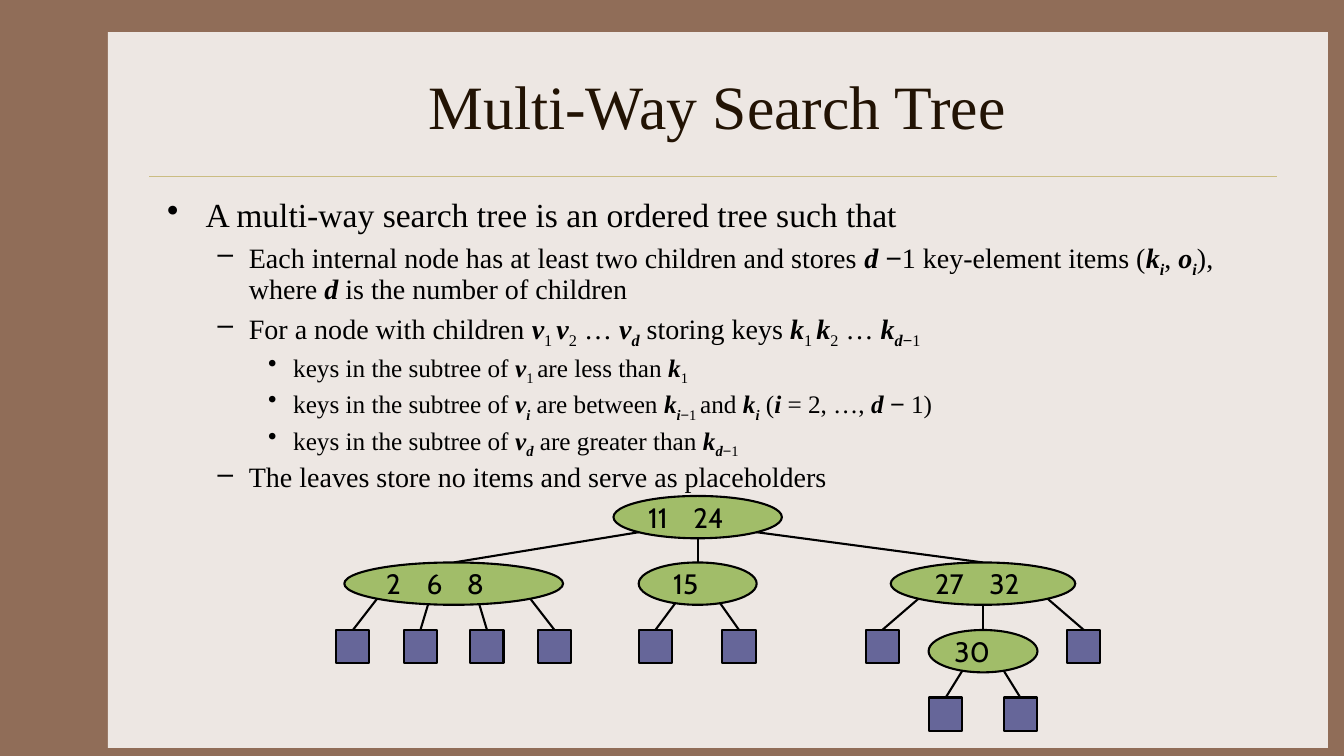
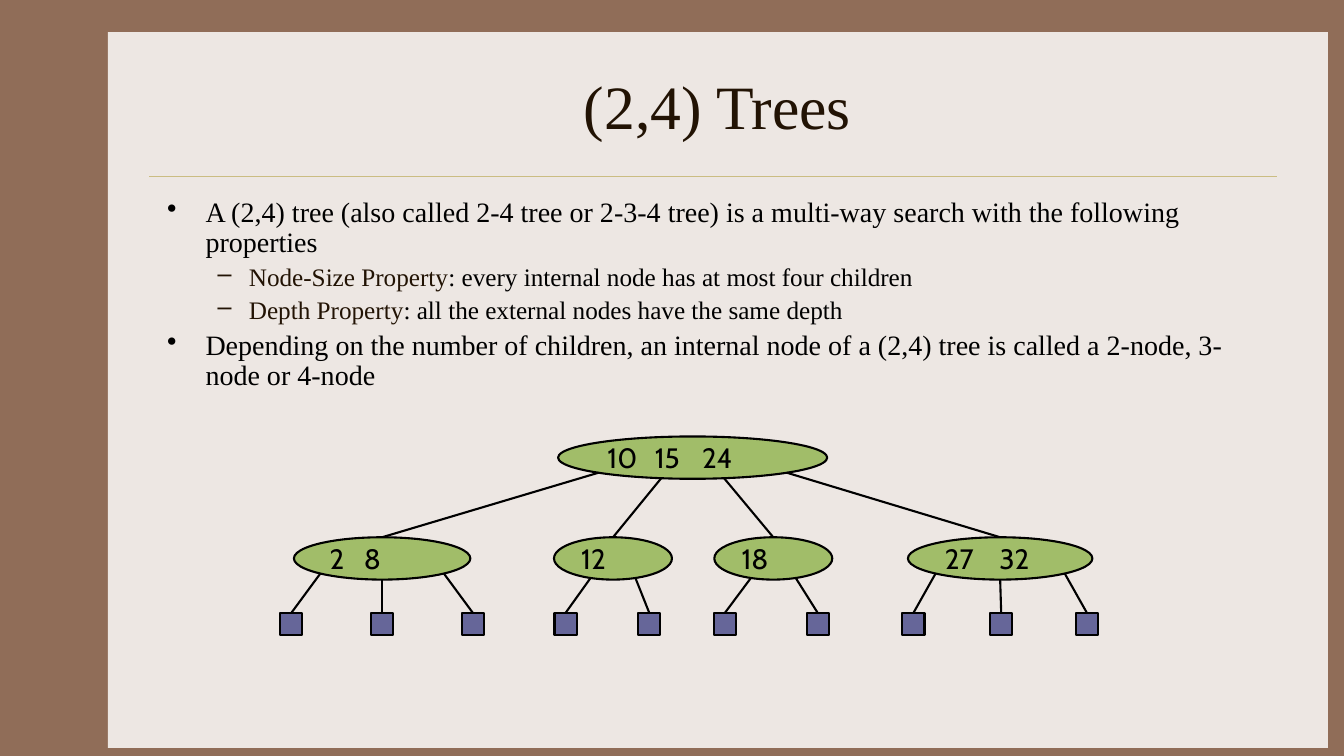
from dataclasses import dataclass
from itertools import groupby
from math import sqrt

from lxml import etree
from pptx import Presentation, util as u
from pptx.dml.color import RGBColor
from pptx.enum import shapes as kinds, text as t
from pptx.oxml.ns import qn

BACK, PAPER, RULE = "906D58", "EDE7E3", "CBBD83"
INK, DARK, GREEN, BLUE = "000000", "221304", "A1BD69", "666699"
SERIF, SANS, KEYS = "Times New Roman", "Arial", "Cabin"
NODE_H = 0.42
REACH = {2: 0.19, 3: 0.35, 4: 0.35}  # outermost branch, as share of node width
# level: left margin, hanging indent, bullet
LEVELS = [(0.38, 0.38, "•"), (0.81, 0.31, "–"), (1.25, 0.25, "•")]


@dataclass
class Node:
    keys: str
    mid: float
    width: float
    kids: list  # a number is the centre of a leaf
    gap: float = 0.45
    lead: float = 0.1


def color(code):
    return RGBColor.from_string(code)


def font(run, size, face=SERIF, code=INK):
    run.font.size = u.Pt(size)
    run.font.name = face
    run.font.color.rgb = color(code)


def shape(slide, kind, box, fill, edge=None):
    item = slide.shapes.add_shape(kind, *map(u.Inches, box))
    item.shadow.inherit = False
    item.fill.solid()
    item.fill.fore_color.rgb = color(fill)
    if edge:
        item.line.color.rgb = color(edge)
        item.line.width = u.Pt(1.5)
    else:
        item.line.fill.background()
    return item


def line(slide, start, end, code=INK, width=1.5):
    item = slide.shapes.add_connector(
        kinds.MSO_CONNECTOR.STRAIGHT, *map(u.Inches, (*start, *end)))
    item.line.color.rgb = color(code)
    item.line.width = u.Pt(width)
    etree.SubElement(item._element.spPr, qn("a:effectLst"))
    return item


# Shared frame: lives on the layout
def frame(layout, slide):
    for item in list(layout.placeholders):
        if item.placeholder_format.idx:
            item._element.getparent().remove(item._element)
    paper = shape(slide, kinds.MSO_SHAPE.RECTANGLE, (1.07, 0.32, 12.1, 7.1), PAPER)
    rule = line(slide, (1.48, 1.75), (12.67, 1.75), RULE, 0.25)
    for item in (paper, rule):
        layout.shapes._spTree.append(item._element)


def title(slide, words):
    item = slide.shapes.title
    item.left, item.top, item.width, item.height = map(
        u.Inches, (1.56, 0.42, 11.11, 1.25))
    item.text_frame.text = words
    item.text_frame.vertical_anchor = t.MSO_ANCHOR.MIDDLE
    para = item.text_frame.paragraphs[0]
    para.alignment = t.PP_ALIGN.CENTER
    font(para.runs[0], 44, SERIF, DARK)


# Marks: *bold italic*, ~subscript~, ^dark^
def styled(words):
    state = dict.fromkeys("*~^", False)
    for char in words:
        if char in state:
            state[char] = not state[char]
        else:
            yield char, (*state.values(), char == "−")


def bullet(para, level, size, words, first):
    left, hang, sign = LEVELS[level]
    para.level = level
    para.line_spacing = 0.9
    if not first:
        para.space_before = u.Pt(round(size * 0.23, 1))
    props = para._p.get_or_add_pPr()
    props.set("marL", str(u.Inches(left)))
    props.set("indent", str(-u.Inches(hang)))
    etree.SubElement(props, qn("a:buChar")).set("char", sign)
    for style, chars in groupby(styled(words), key=lambda pair: pair[1]):
        strong, sub, dark, minus = style
        run = para.add_run()
        run.text = "".join(char for char, _ in chars)
        font(run, size, SANS if minus else SERIF, DARK if dark else INK)
        run.font.bold = run.font.italic = strong
        if sub:
            run.font._element.set("baseline", "-25000")


def body(slide, items):
    box = slide.shapes.add_textbox(*map(u.Inches, (1.56, 1.92, 11.11, 4.5)))
    frame = box.text_frame
    frame.word_wrap = True
    for i, (level, size, words) in enumerate(items):
        para = frame.add_paragraph() if i else frame.paragraphs[0]
        bullet(para, level, size, words, i == 0)


# Tree parts
def oval(slide, node, top):
    item = shape(slide, kinds.MSO_SHAPE.OVAL,
                 (node.mid - node.width / 2, top, node.width, NODE_H), GREEN, INK)
    frame = item.text_frame
    frame.word_wrap = True
    frame.vertical_anchor = t.MSO_ANCHOR.MIDDLE
    frame.margin_left = u.Inches(node.lead)
    frame.margin_right = frame.margin_top = frame.margin_bottom = 0
    keys = node.keys.split()
    para = frame.paragraphs[0]
    para.alignment = t.PP_ALIGN.LEFT
    if len(keys) > 1:
        tabs = etree.SubElement(para._p.get_or_add_pPr(), qn("a:tabLst"))
        for i in range(1, len(keys)):
            tab = etree.SubElement(tabs, qn("a:tab"))
            tab.set("pos", str(u.Inches(node.gap * i)))
            tab.set("algn", "l")
    run = para.add_run()
    run.text = "\t".join(keys)
    font(run, 20, KEYS)


def tree(slide, node, rows, leaf):
    top, below = rows[:2]
    oval(slide, node, top)
    count = len(node.kids)
    reach = REACH[count]
    for i, kid in enumerate(node.kids):
        share = reach * (2 * i / (count - 1) - 1)
        rim = top + NODE_H / 2 * (1 + sqrt(1 - 4 * share ** 2))
        inner = isinstance(kid, Node)
        mid = kid.mid if inner else kid
        line(slide, (node.mid + share * node.width, rim), (mid, below))
        if inner:
            tree(slide, kid, rows[1:], leaf)
        else:
            shape(slide, kinds.MSO_SHAPE.RECTANGLE,
                  (mid - leaf / 2, below, leaf, leaf), BLUE, INK)


MULTI = [
    (0, 24, "A multi-way search tree is an ordered tree such that"),
    (1, 20, "Each internal node has at least two children and stores *d* −1 "
            "key-element items (*k~i~*, *o~i~*), where *d* is the number of children"),
    (1, 20, "For a node with children *v*~1 ~*v*~2~ … *v~d~* storing keys "
            "*k*~1 ~*k*~2~ … *k~d~*~−1~"),
    (2, 18, "keys in the subtree of *v*~1 ~are less than *k*~1~"),
    (2, 18, "keys in the subtree of *v~i~* are between *k~i~*~−1 ~and *k~i~* "
            "(*i* = 2, …, *d* − 1)"),
    (2, 18, "keys in the subtree of *v~d~* are greater than *k~d~*~−1~"),
    (1, 20, "The leaves store no items and serve as placeholders"),
]
MULTI_TREE = Node("11 24", 6.92, 1.67, [
    Node("2 6 8", 4.5, 2.17, [3.5, 4.17, 4.83, 5.5], 0.4),
    Node("15", 6.92, 1.17, [6.5, 7.33], lead=0.17),
    Node("27 32", 9.75, 1.83, [
        8.75, Node("30", 9.75, 1.08, [9.38, 10.12]), 10.75], 0.54, 0.17),
])
TWO_FOUR = [
    (0, 20, "A (2,4) tree (also called 2-4 tree or 2-3-4 tree) is a multi-way "
            "search with the following properties"),
    (1, 18, "^Node-Size Property^: every internal node has at most four children"),
    (1, 18, "^Depth Property^: all the external nodes have the same depth"),
    (0, 20, "Depending on the number of children, an internal node of a (2,4) "
            "tree is called a 2-node, 3-node or 4-node"),
]
TWO_FOUR_TREE = Node("10 15 24", 6.87, 2.67, [
    Node("2 8", 3.79, 1.75, [2.89, 3.79, 4.69], 0.34),
    Node("12", 6.08, 1.17, [5.61, 6.44]),
    Node("18", 7.67, 1.17, [7.19, 8.11]),
    Node("27 32", 9.92, 1.83, [9.06, 9.93, 10.78], 0.54),
], 0.47)
PAGES = [
    ("Multi-Way Search Tree", MULTI, MULTI_TREE, [4.92, 5.58, 6.25, 6.92], 0.33),
    ("(2,4) Trees", TWO_FOUR, TWO_FOUR_TREE, [4.33, 5.33, 6.08], 0.22),
]


def main():
    deck = Presentation()
    deck.slide_width, deck.slide_height = u.Inches(13.33), u.Inches(7.5)
    fill = deck.slide_master.background.fill
    fill.solid()
    fill.fore_color.rgb = color(BACK)
    layout = deck.slide_layouts[5]
    for i, (head, items, root, rows, leaf) in enumerate(PAGES):
        slide = deck.slides.add_slide(layout)
        if i == 0:
            frame(layout, slide)
        title(slide, head)
        body(slide, items)
        tree(slide, root, rows, leaf)
    deck.save("out.pptx")


if __name__ == "__main__":
    main()
